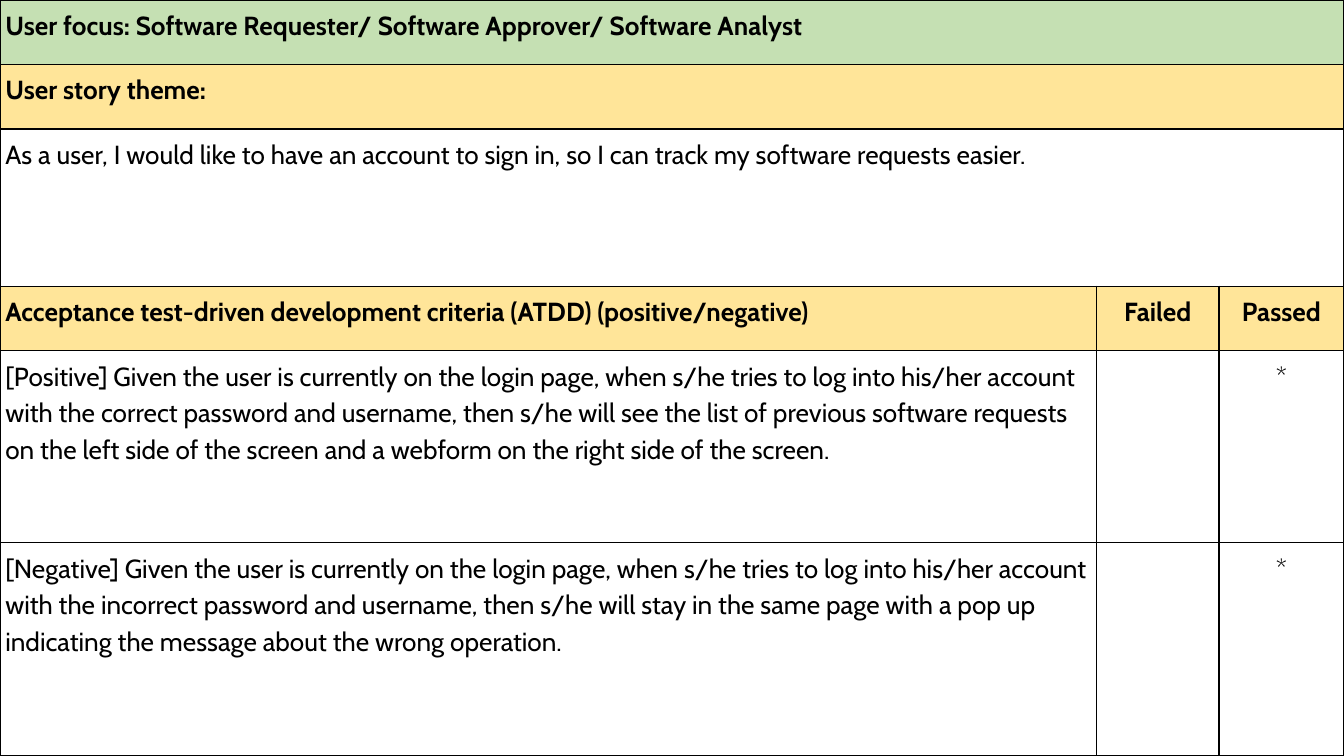
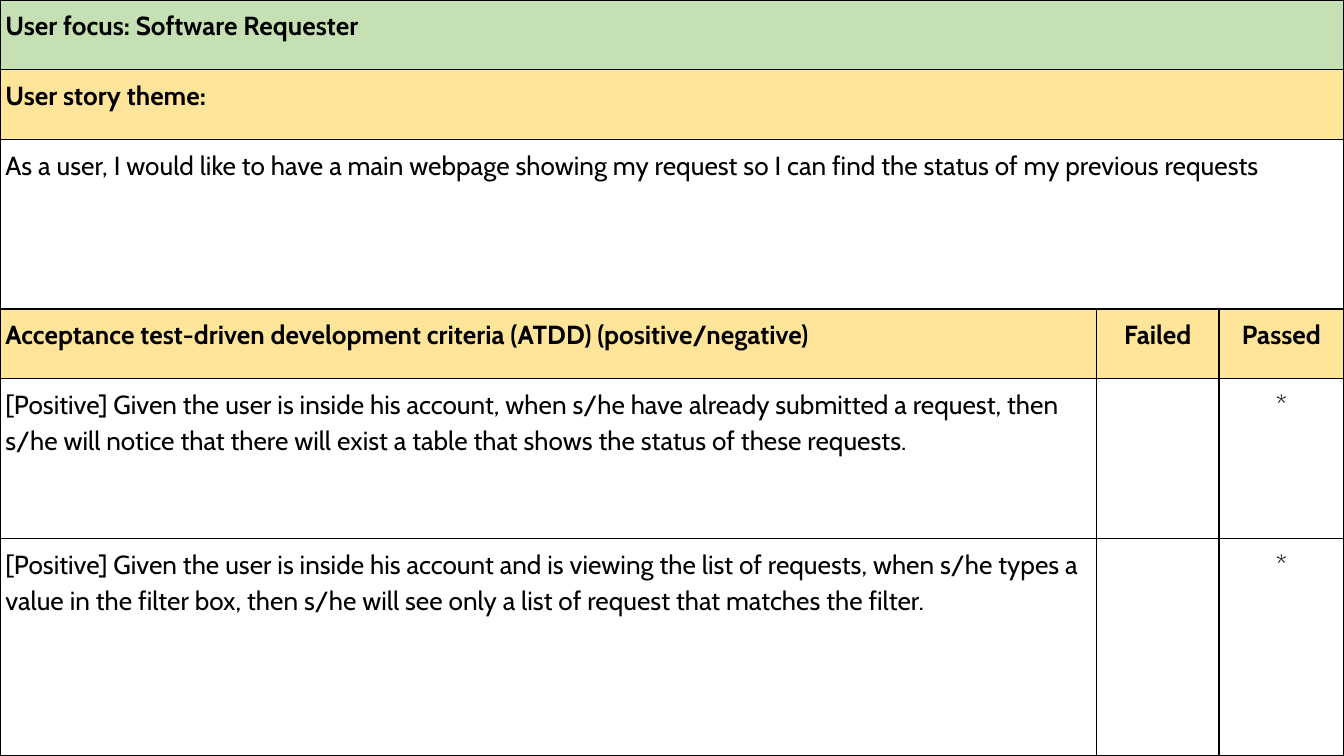
from lxml import etree
from pptx import Presentation
from pptx import util as u
from pptx.dml.color import RGBColor
from pptx.enum import text
from pptx.oxml import ns

WIDTH, HEIGHT = 10, 5.625
COLUMNS = [8.16, 0.91, 0.93]
INSET = 0.04
FONT, SIZE = "Cabin", 14
BLACK, GREEN, YELLOW = "000000", "C5E0B3", "FFE599"
MARK = "*"

STORIES = [
    {
        "focus": "User focus: Software Requester/ Software Approver/ Software Analyst",
        "theme": "As a user, I would like to have an account to sign in, "
                 "so I can track my software requests easier.",
        "criteria": [
            "[Positive] Given the user is currently on the login page, when s/he tries to log "
            "into his/her account with the correct password and username, then s/he will see "
            "the list of previous software requests on the left side of the screen and a "
            "webform on the right side of the screen.",
            "[Negative] Given the user is currently on the login page, when s/he tries to log "
            "into his/her account with the incorrect password and username, then s/he will "
            "stay in the same page with a pop up indicating the message about the wrong "
            "operation.",
        ],
        "band": 0.48, "theme_row": 1.17, "first_criterion": 1.43,
    },
    {
        "focus": "User focus: Software Requester",
        "theme": "As a user, I would like to have a main webpage showing my request "
                 "so I can find the status of my previous requests",
        "criteria": [
            "[Positive] Given the user is inside his account, when s/he have already submitted "
            "a request, then s/he will notice that there will exist a table that shows the "
            "status of these requests.",
            "[Positive] Given the user is inside his account and is viewing the list of "
            "requests, when s/he types a value in the filter box, then s/he will see only a "
            "list of request that matches the filter.",
        ],
        "band": 0.52, "theme_row": 1.26, "first_criterion": 1.19,
    },
]


def rgb(code):
    return RGBColor.from_string(code)


def add_borders(cell, color=BLACK, points=0.75):
    properties = cell._tc.get_or_add_tcPr()
    for side in ("a:lnL", "a:lnR", "a:lnT", "a:lnB"):
        line = etree.SubElement(properties, ns.qn(side), w=str(u.Pt(points)))
        solid = etree.SubElement(line, ns.qn("a:solidFill"))
        etree.SubElement(solid, ns.qn("a:srgbClr"), val=color)


def style_cell(cell, fill):
    add_borders(cell)
    if fill:
        cell.fill.solid()
        cell.fill.fore_color.rgb = rgb(fill)
    else:
        cell.fill.background()
    cell.margin_left = cell.margin_right = u.Inches(INSET)
    cell.margin_top = cell.margin_bottom = u.Inches(INSET)


def write_cell(cell, words, bold, centred):
    paragraph = cell.text_frame.paragraphs[0]
    paragraph.line_spacing = 1.15
    paragraph.space_after = u.Pt(0 if words == MARK else 2)
    paragraph.alignment = text.PP_ALIGN.CENTER if centred else text.PP_ALIGN.LEFT
    run = paragraph.add_run()
    run.text = words
    run.font.name, run.font.size = FONT, u.Pt(SIZE)
    run.font.bold = bold
    run.font.color.rgb = rgb(BLACK)


def add_story(slide, story):
    """Each row holds its texts, fill and height; a single text spans the row."""
    band = story["band"]
    rows = [
        ([story["focus"]], GREEN, band),
        (["User story theme:"], YELLOW, band),
        ([story["theme"]], None, story["theme_row"]),
        (["Acceptance test-driven development criteria (ATDD) (positive/negative)",
          "Failed", "Passed"], YELLOW, band),
    ]
    last_criterion = HEIGHT - 3 * band - story["theme_row"] - story["first_criterion"]
    for criterion, height in zip(story["criteria"], (story["first_criterion"], last_criterion)):
        rows.append(([criterion, "", MARK], None, height))

    table = slide.shapes.add_table(len(rows), len(COLUMNS), 0, 0,
                                   u.Inches(WIDTH), u.Inches(HEIGHT)).table
    table.first_row = table.horz_banding = False
    for column, width in zip(table.columns, COLUMNS):
        column.width = u.Inches(width)
    for r, (texts, fill, height) in enumerate(rows):
        table.rows[r].height = u.Inches(height)
        for c in range(len(COLUMNS)):
            style_cell(table.cell(r, c), fill)
        if len(texts) == 1:
            table.cell(r, 0).merge(table.cell(r, len(COLUMNS) - 1))
        for c, words in enumerate(texts):
            if words:
                write_cell(table.cell(r, c), words, bold=bool(fill), centred=c > 0)


def main():
    deck = Presentation()
    deck.slide_width, deck.slide_height = u.Inches(WIDTH), u.Inches(HEIGHT)
    blank = deck.slide_layouts[6]
    for story in STORIES:
        add_story(deck.slides.add_slide(blank), story)
    deck.save("out.pptx")


if __name__ == "__main__":
    main()
